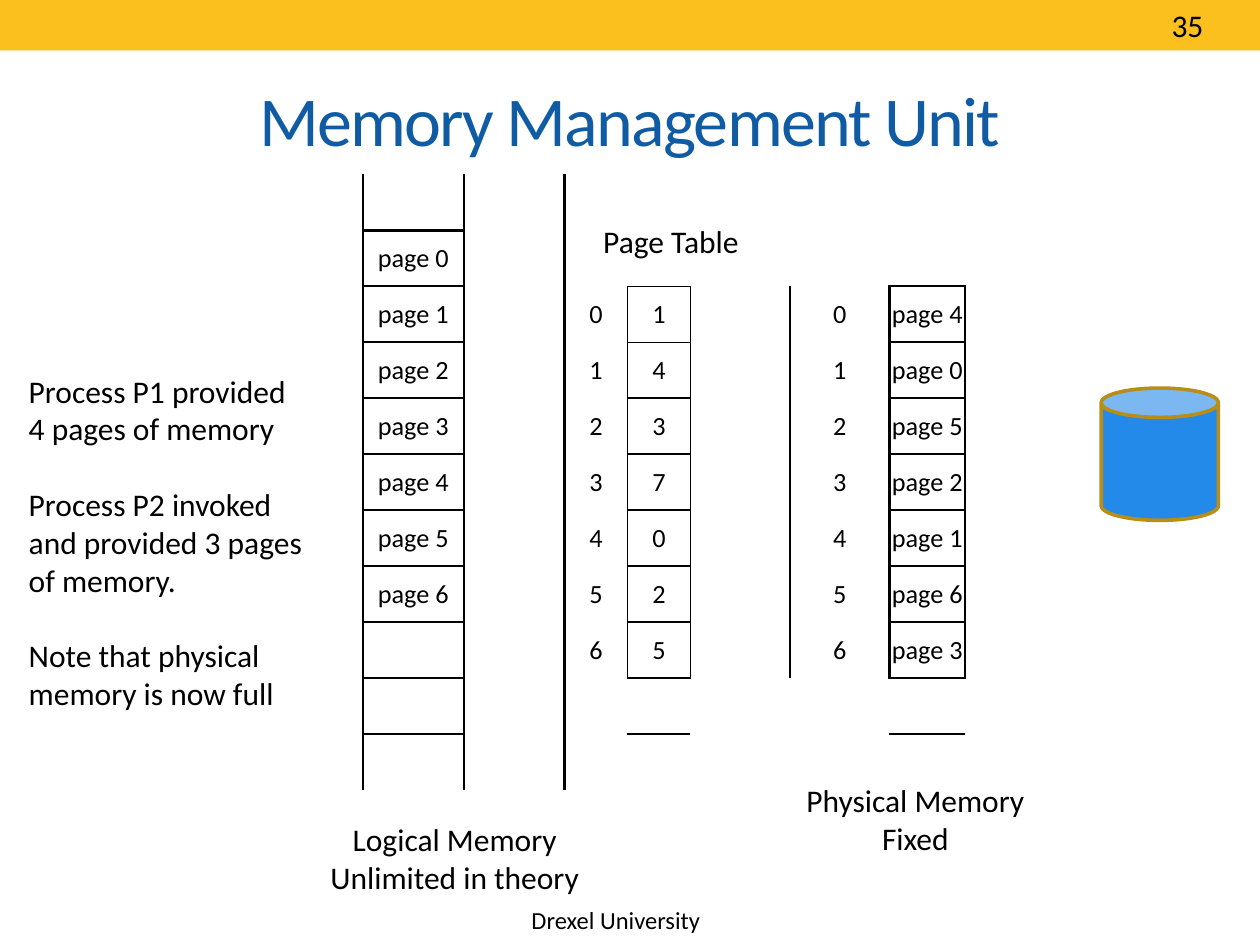
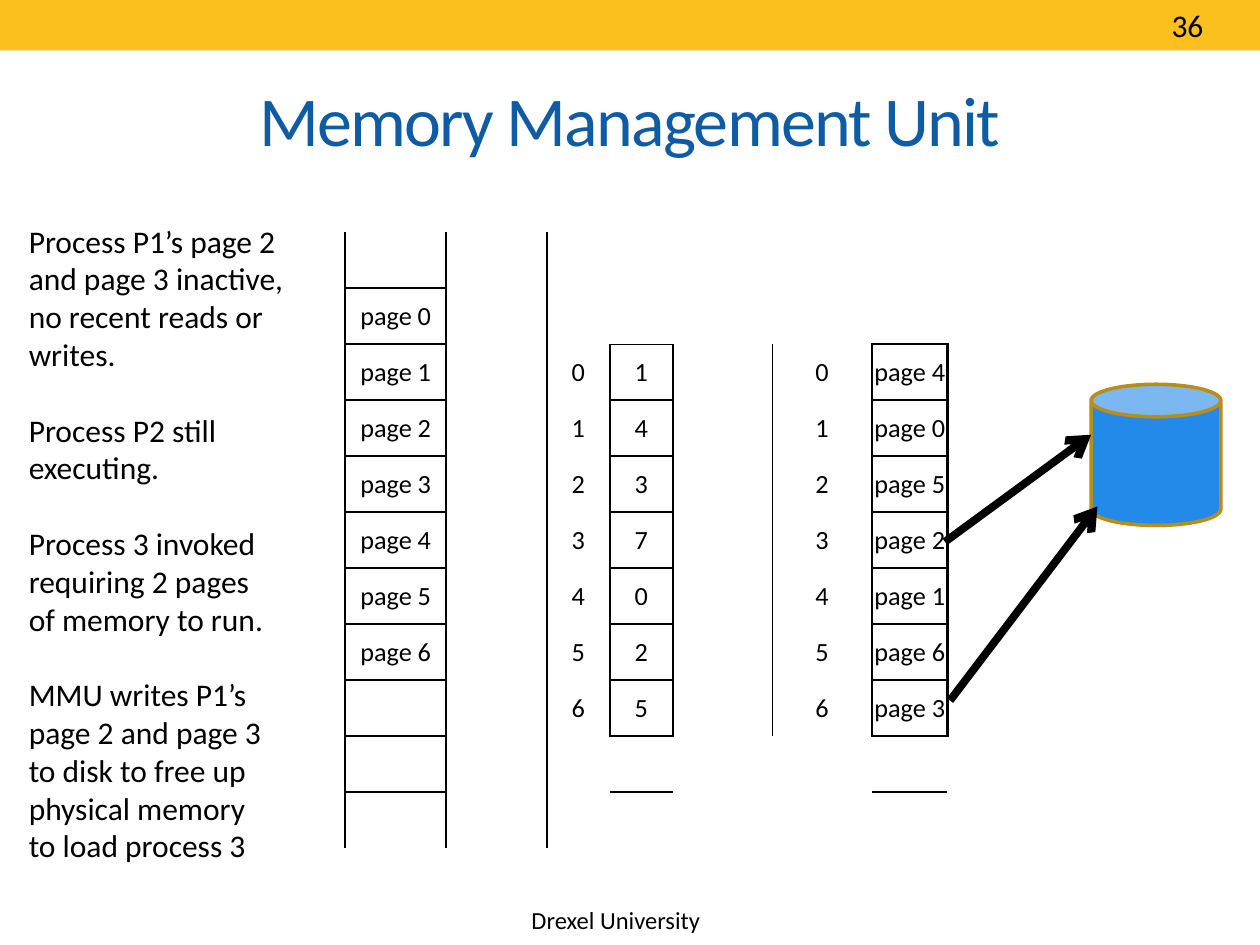
"""Build two slides on a memory management unit and its page tables."""
from dataclasses import dataclass, field
from typing import Any

import lxml.etree
import pptx
import pptx.dml.color
import pptx.enum.shapes
import pptx.enum.text
import pptx.oxml.ns
import pptx.util

Inches = pptx.util.Inches
Pt = pptx.util.Pt
qn = pptx.oxml.ns.qn
ALIGN = pptx.enum.text.PP_ALIGN
ANCHOR = pptx.enum.text.MSO_ANCHOR
SHAPE = pptx.enum.shapes.MSO_SHAPE


@dataclass(frozen=True)
class Theme:
    font: str = "Calibri"
    ink: str = "000000"
    band: str = "FBC01E"
    title: str = "105CA4"
    disk: str = "248AEA"
    disk_edge: str = "BA8E16"
    title_size: float = 40
    body_size: float = 18
    cell_size: float = 15
    footer_size: float = 14
    group_gap: float = 21.6
    disk_line: float = 2.08
    arrow_line: float = 4.5


@dataclass(frozen=True)
class Box:
    left: float
    top: float
    width: float
    height: float

    def lengths(self) -> tuple:
        return tuple(Inches(v) for v in (self.left, self.top, self.width, self.height))


@dataclass(frozen=True)
class Label:
    box: Box
    groups: tuple[tuple[str, ...], ...]
    align: Any = ALIGN.LEFT
    wrap: bool = False


@dataclass(frozen=True)
class Arrow:
    start: tuple[float, float]
    end: tuple[float, float]


@dataclass(frozen=True)
class Stack:
    col: int
    first_row: int
    texts: tuple[str, ...]
    line: float
    indexed: bool = True
    open_ended: bool = False


@dataclass(frozen=True)
class MemorySlide:
    number: int
    memory_at: tuple[float, float]
    disk: Box
    labels: tuple[Label, ...]
    arrows: tuple[Arrow, ...] = field(default=())


THEME = Theme()
COLUMN_WIDTHS = (0.6, 0.8, 0.8, 0.5, 0.5, 0.79, 0.79, 0.6, 0.6)
ROWS, MEMORY_HEIGHT = 12, 5.33
PLAIN_TABLE_STYLE = "{2D5ABB26-0587-4C30-8999-92F81FD0307C}"
EDGES = {"L": (0, -1, "R"), "R": (0, 1, "L"), "T": (-1, 0, "B"), "B": (1, 0, "T")}

LOGICAL_PAGES = tuple(f"page {n}" for n in range(7))
STACKS = (
    Stack(1, 1, ("", *LOGICAL_PAGES, "", "", ""), 1.5, indexed=False, open_ended=True),
    Stack(4, 3, tuple("1437025"), 1),
    Stack(7, 3, tuple(f"page {n}" for n in "4052163"), 1.5),
)

SLIDES = (
    MemorySlide(
        35, (2.28, 0.94), Box(8.74, 3.08, 0.93, 1.05),
        (
            Label(Box(2.51, 6.46, 2.2, 1.01), (("Logical Memory", "Unlimited in theory"),), ALIGN.CENTER),
            Label(Box(6.25, 6.15, 2.03, 1.01), (("Physical Memory", "Fixed"),), ALIGN.CENTER),
            Label(Box(4.4, 1.71, 1.85, 0.4), (("Page Table",),), ALIGN.CENTER, wrap=True),
            Label(Box(0.13, 2.9, 2.4, 3.13), (
                ("Process P1 provided", "4 pages of memory"),
                ("Process P2 invoked", "and provided 3 pages", "of memory."),
                ("Note that physical", "memory is now full"),
            )),
        ),
    ),
    MemorySlide(
        36, (2.14, 1.4), Box(8.66, 3.05, 1.03, 1.12),
        (
            Label(Box(0.13, 1.71, 2.25, 5.55), (
                ("Process P1’s page 2", "and page 3 inactive,", "no recent reads or", "writes."),
                ("Process P2 still", "executing."),
                ("Process 3 invoked", "requiring 2 pages", "of memory to run."),
                ("MMU writes P1’s", "page 2 and page 3", "to disk to free up",
                 "physical memory", "to load process 3"),
            )),
        ),
        (Arrow((7.5, 4.3), (8.66, 3.45)), Arrow((7.54, 5.56), (8.71, 4.02))),
    ),
)


def rgb(color: str) -> pptx.dml.color.RGBColor:
    return pptx.dml.color.RGBColor.from_string(color)


def apply(target: Any, values: dict[str, Any]) -> None:
    for name, value in values.items():
        setattr(target, name, value)


def add_run(p: Any, text: str, size: float, color: str = THEME.ink) -> Any:
    r = p.add_run()
    r.text = text
    apply(r.font, {"name": THEME.font, "size": Pt(size)})
    r.font.color.rgb = rgb(color)
    return r


def add_label(s: Any, label: Label, size: float = THEME.body_size,
              color: str = THEME.ink, anchor: Any = ANCHOR.TOP) -> Any:
    tf = s.shapes.add_textbox(*label.box.lengths()).text_frame
    apply(tf, {"word_wrap": label.wrap, "vertical_anchor": anchor})
    for g, group in enumerate(label.groups):
        for n, line in enumerate(group):
            p = tf.add_paragraph() if g or n else tf.paragraphs[0]
            p.alignment = label.align
            if g and not n:
                p.space_before = Pt(THEME.group_gap)
            add_run(p, line, size, color)
    return tf


def add_filled(s: Any, kind: Any, box: Box, fill: str) -> Any:
    sp = s.shapes.add_shape(kind, *box.lengths())
    sp.shadow.inherit = False
    sp.fill.solid()
    sp.fill.fore_color.rgb = rgb(fill)
    return sp


def add_frame(s: Any, number: int) -> None:
    band = add_filled(s, SHAPE.RECTANGLE, Box(0, 0, 10, 0.4), THEME.band)
    band.line.fill.background()
    add_label(s, Label(Box(4.12, 7.13, 1.57, 0.34), (("Drexel University",),)), THEME.footer_size)
    title = Label(Box(0.5, 0.4, 9, 1.08), (("Memory Management Unit",),), ALIGN.CENTER, wrap=True)
    tf = add_label(s, title, THEME.title_size, THEME.title, ANCHOR.MIDDLE)
    tf.paragraphs[0].runs[0]._r.get_or_add_rPr().set("spc", "-100")
    add_label(s, Label(Box(9.2, 0, 0.8, 0.36), ((str(number),),), wrap=True))


def fill_cell(cell: Any, text: str) -> None:
    apply(cell, {
        "margin_left": Inches(0.01), "margin_right": Inches(0.01),
        "margin_top": Inches(0.01), "margin_bottom": 0,
        "vertical_anchor": ANCHOR.MIDDLE,
    })
    p = cell.text_frame.paragraphs[0]
    p.alignment = ALIGN.CENTER
    add_run(p, text, THEME.cell_size)


def stack_borders(stack: Stack) -> dict[tuple[int, int, str], float]:
    borders = {}
    last_row = stack.first_row + len(stack.texts) - 1
    for row in range(stack.first_row, last_row + 1):
        for side, (down, across, opposite) in EDGES.items():
            outer = (side, row) in (("T", stack.first_row), ("B", last_row))
            if stack.open_ended and outer:
                continue
            borders[row, stack.col, side] = stack.line
            borders[row + down, stack.col + across, opposite] = stack.line
    return borders


def draw_border(cell: Any, side: str, width: float) -> None:
    ln = lxml.etree.SubElement(cell._tc.get_or_add_tcPr(), qn(f"a:ln{side}"), w=str(Pt(width)))
    fill = lxml.etree.SubElement(ln, qn("a:solidFill"))
    lxml.etree.SubElement(fill, qn("a:srgbClr"), val=THEME.ink)


def add_memory(s: Any, left: float, top: float) -> None:
    box = Box(left, top, sum(COLUMN_WIDTHS), MEMORY_HEIGHT)
    table = s.shapes.add_table(ROWS, len(COLUMN_WIDTHS), *box.lengths()).table
    apply(table, {"first_row": False, "horz_banding": False})
    table._tbl.tblPr.find(qn("a:tableStyleId")).text = PLAIN_TABLE_STYLE
    for column, width in zip(table.columns, COLUMN_WIDTHS):
        column.width = Inches(width)
    for row in table.rows:
        row.height = Inches(MEMORY_HEIGHT / ROWS)

    borders = {}
    for stack in STACKS:
        borders.update(stack_borders(stack))
        for n, text in enumerate(stack.texts):
            row = stack.first_row + n
            if text:
                fill_cell(table.cell(row, stack.col), text)
            if stack.indexed:
                fill_cell(table.cell(row, stack.col - 1), str(n))
    for row in range(ROWS):
        for col in range(len(COLUMN_WIDTHS)):
            cell = table.cell(row, col)
            for side in EDGES:
                if (row, col, side) in borders:
                    draw_border(cell, side, borders[row, col, side])
            cell.fill.background()


def add_disk(s: Any, box: Box) -> None:
    sp = add_filled(s, SHAPE.CAN, box, THEME.disk)
    sp.line.color.rgb = rgb(THEME.disk_edge)
    sp.line.width = Pt(THEME.disk_line)


def add_arrow(s: Any, arrow: Arrow) -> None:
    ends = (Inches(v) for v in (*arrow.start, *arrow.end))
    sp = s.shapes.add_connector(pptx.enum.shapes.MSO_CONNECTOR.STRAIGHT, *ends)
    sp.line.color.rgb = rgb(THEME.ink)
    sp.line.width = Pt(THEME.arrow_line)
    lxml.etree.SubElement(sp.line._get_or_add_ln(), qn("a:tailEnd"), type="arrow")
    lxml.etree.SubElement(sp._element.spPr, qn("a:effectLst"))


def main() -> None:
    prs = pptx.Presentation()
    apply(prs, {"slide_width": Inches(10), "slide_height": Inches(7.5)})
    for content in SLIDES:
        s = prs.slides.add_slide(prs.slide_layouts[6])
        add_frame(s, content.number)
        add_memory(s, *content.memory_at)
        add_disk(s, content.disk)
        for label in content.labels:
            add_label(s, label)
        for arrow in content.arrows:
            add_arrow(s, arrow)
    prs.save("out.pptx")


if __name__ == "__main__":
    main()
